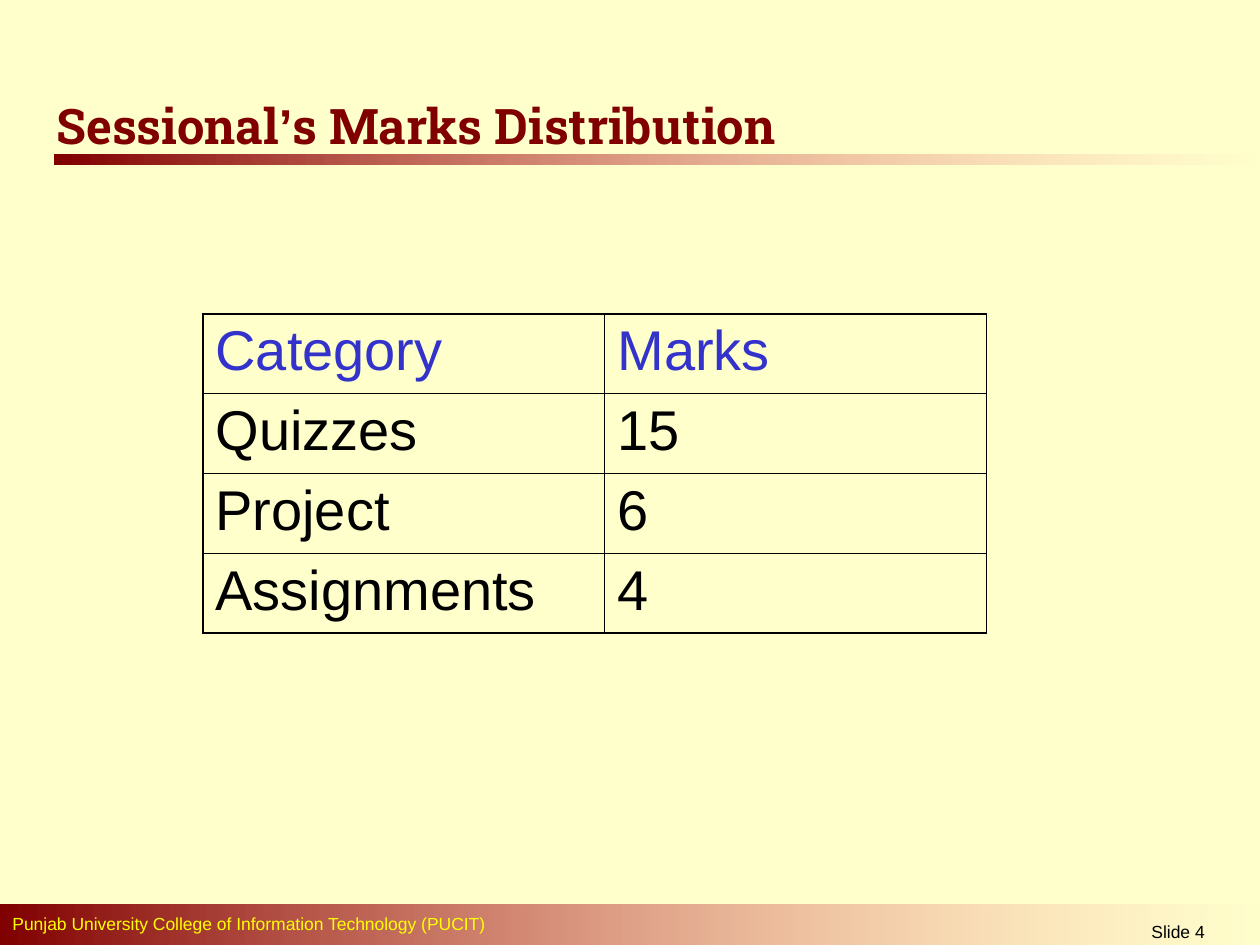
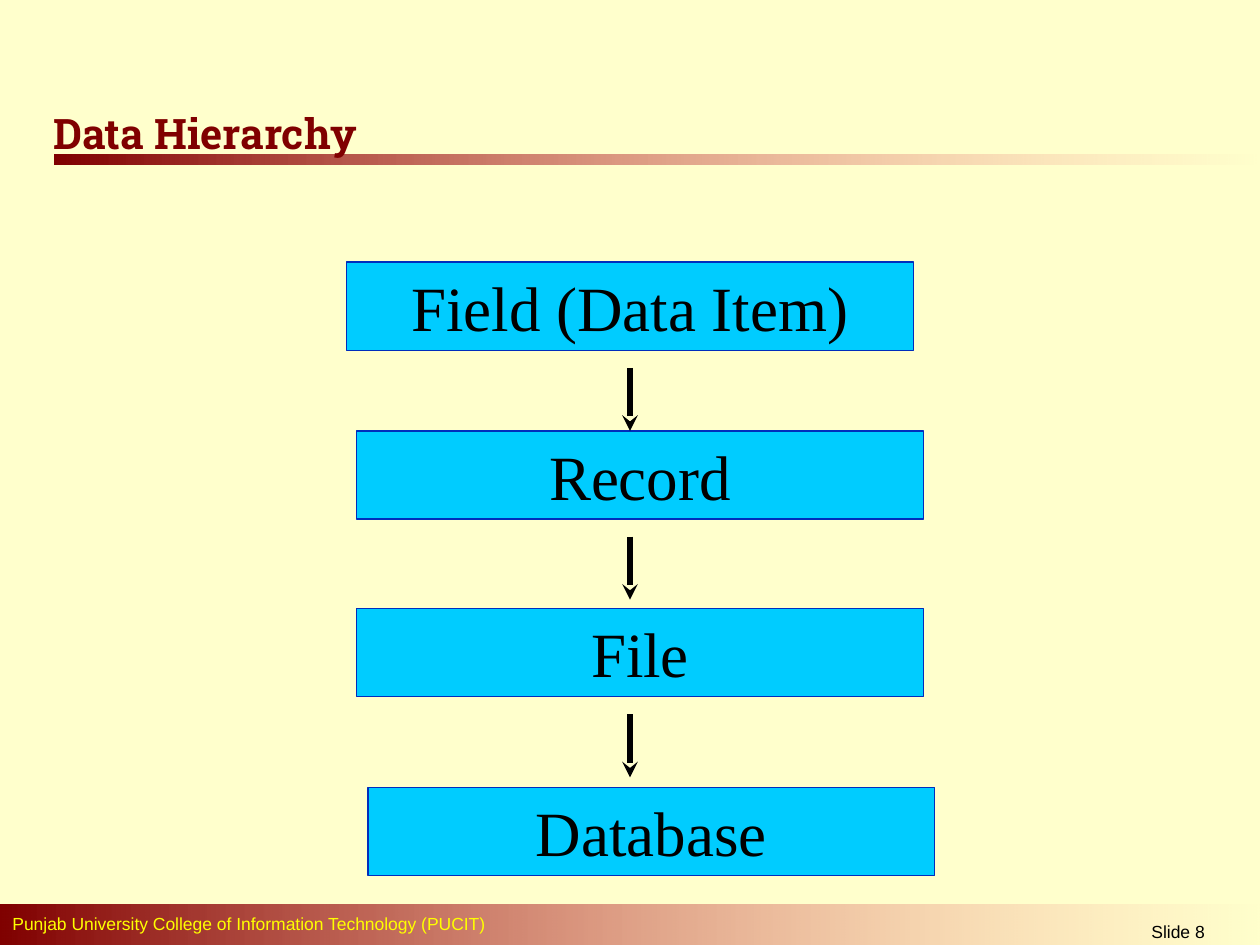
from lxml import etree
from pptx import Presentation
from pptx import util as u
from pptx.dml.color import RGBColor
from pptx.enum import shapes, text
from pptx.oxml import ns

COLORS = {
    "cream": "FFFFCC", "maroon": "800000", "rose": "FF8585", "yellow": "FFFF00",
    "black": "000000", "indigo": "3333CC", "cyan": "00CCFF", "navy": "002DBC",
}
SLIDES = [
    (4, (0.35, 0.76, 9.05, 0.47), 28,
     [("Sessional", "Roboto Slab"), ("’", "Arial"), ("s Marks Distribution", "Roboto Slab")]),
    (8, (0.33, 0.76, 3.33, 0.58), 24, [("Data Hierarchy", "Roboto Slab")]),
]
BANDS = [(0.43, 1.23, 9.57, 0.08), (0, 7.18, 10.03, 0.35)]
MARKS = [("Category", "Marks"), ("Quizzes", "15"), ("Project", "6"), ("Assignments", "4")]
LEVELS = [("Field (Data Item)", 2.75, 2.08), ("Record", 2.83, 3.42),
          ("File", 2.83, 4.83), ("Database", 2.92, 6.25)]


def color(name):
    return RGBColor.from_string(COLORS[name])


def write(frame, pieces, size, tint, bold=False, align=text.PP_ALIGN.LEFT):
    frame.word_wrap = True
    para = frame.paragraphs[0]
    para.alignment = align
    for words, font in pieces:
        span = para.add_run()
        span.text = words
        span.font.name = font
        span.font.size = u.Pt(size)
        span.font.bold = bold
        span.font.color.rgb = color(tint)


deck = Presentation()
deck.slide_width, deck.slide_height = u.Inches(10), u.Inches(7.5)

pages = []
for number, title_place, title_size, title_pieces in SLIDES:
    page = deck.slides.add_slide(deck.slide_layouts[6])
    page.background.fill.solid()
    page.background.fill.fore_color.rgb = color("cream")
    for place in BANDS:
        band = page.shapes.add_shape(shapes.MSO_SHAPE.RECTANGLE, *map(u.Inches, place))
        band.shadow.inherit = False
        band.line.fill.background()
        band.fill.gradient()
        band.fill.gradient_angle = 0
        for stop, tint in zip(band.fill.gradient_stops, ("maroon", "rose")):
            stop.color.rgb = color(tint)
        fade = list(band._element.iter(ns.qn("a:srgbClr")))[-1]
        etree.SubElement(fade, ns.qn("a:alpha"), val="0")

    footer = page.shapes.add_textbox(*map(u.Inches, (0, 7.2, 6.42, 0.27)))
    write(footer.text_frame,
          [("Punjab University College of Information Technology (PUCIT)", "Arial")], 10, "yellow")
    counter = page.shapes.add_textbox(*map(u.Inches, (8.31, 7.26, 2.08, 0.24)))
    write(counter.text_frame, [(f"Slide {number}", "Arial")], 10, "black",
          align=text.PP_ALIGN.CENTER)
    title = page.shapes.add_textbox(*map(u.Inches, title_place))
    title.text_frame.vertical_anchor = text.MSO_ANCHOR.MIDDLE
    write(title.text_frame, title_pieces, title_size, "maroon", bold=True)
    pages.append(page)

marks_page, hierarchy_page = pages

table = marks_page.shapes.add_table(
    len(MARKS), 2, *map(u.Inches, (1.61, 2.49, 6.22, 2.53))).table
table.first_row = table.horz_banding = False
for column, width in zip(table.columns, (3.19, 3.03)):
    column.width = u.Inches(width)
for r, row in enumerate(MARKS):
    table.rows[r].height = u.Inches(0.63)
    for c, words in enumerate(row):
        cell = table.cell(r, c)
        write(cell.text_frame, [(words, "Arial")], 32, "black" if r else "indigo")
        outer_sides = {"lnL": c == 0, "lnR": c == 1, "lnT": r == 0, "lnB": r == len(MARKS) - 1}
        for side, outer in outer_sides.items():
            border = etree.SubElement(cell._tc.get_or_add_tcPr(), ns.qn(f"a:{side}"),
                                      w=str(u.Pt(1.08 if outer else 0.45)))
            paint = etree.SubElement(border, ns.qn("a:solidFill"))
            etree.SubElement(paint, ns.qn("a:srgbClr"), val=COLORS["black"])
        cell.fill.background()

for words, left, top in LEVELS:
    box = hierarchy_page.shapes.add_shape(
        shapes.MSO_SHAPE.RECTANGLE, *map(u.Inches, (left, top, 4.5, 0.7)))
    box.shadow.inherit = False
    box.fill.solid()
    box.fill.fore_color.rgb = color("cyan")
    box.line.color.rgb = color("navy")
    box.line.width = u.Pt(0.75)
    box.text_frame.vertical_anchor = text.MSO_ANCHOR.TOP
    write(box.text_frame, [(words, "Times New Roman")], 36, "black",
          align=text.PP_ALIGN.CENTER)

for words, left, top in LEVELS[:-1]:
    arrow = hierarchy_page.shapes.add_connector(
        shapes.MSO_CONNECTOR.STRAIGHT, *map(u.Inches, (5, top + 0.84, 5, top + 1.34)))
    arrow.line.color.rgb = color("black")
    arrow.line.width = u.Pt(3)
    etree.SubElement(arrow.line._get_or_add_ln(), ns.qn("a:tailEnd"), type="stealth")
    etree.SubElement(arrow._element.spPr, ns.qn("a:effectLst"))

deck.save("out.pptx")
